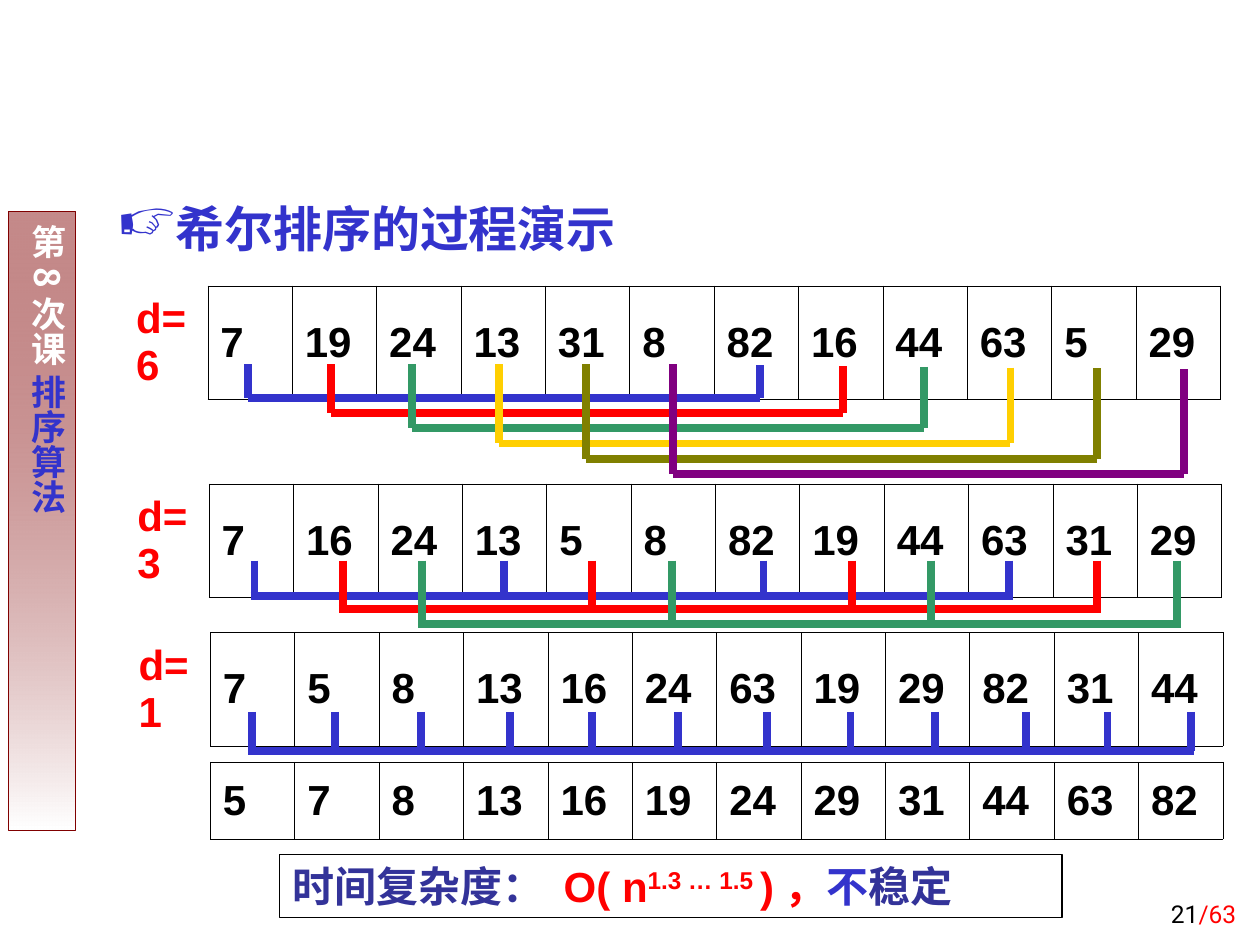
from lxml import etree
from pptx import Presentation
from pptx.dml.color import RGBColor
from pptx.enum.shapes import MSO_CONNECTOR, MSO_SHAPE
from pptx.enum.text import MSO_ANCHOR, PP_ALIGN
from pptx.oxml.ns import qn
from pptx.util import Inches, Pt

STRAIGHT = MSO_CONNECTOR.STRAIGHT
RECT = MSO_SHAPE.RECTANGLE
TOP, MIDDLE, BOTTOM = MSO_ANCHOR.TOP, MSO_ANCHOR.MIDDLE, MSO_ANCHOR.BOTTOM
LEFT, CENTER, RIGHT = PP_ALIGN.LEFT, PP_ALIGN.CENTER, PP_ALIGN.RIGHT

COLORS = {
    "black": "000000", "white": "FFFFFF", "red": "FF0000", "blue": "3333CC",
    "green": "339966", "yellow": "FFCF01", "olive": "808000",
    "purple": "800080", "indigo": "333399", "maroon": "800000",
}
CJK_FONT = "Noto Sans CJK SC"
CELL = 0.61
COL = 0.67


def rgb(name):
    return RGBColor.from_string(COLORS[name])


def add_run(p, text, color="black", size=24, font="Arial", bold=True, raised=False):
    r = p.add_run()
    r.text = text
    r.font.size = Pt(size)
    r.font.bold = bold
    r.font.name = font
    r.font.color.rgb = rgb(color)
    rPr = r._r.get_or_add_rPr()
    etree.SubElement(rPr, qn("a:ea"), typeface=CJK_FONT)
    if raised:
        rPr.set("baseline", "30000")


def set_frame(tf, anchor=TOP, align=LEFT, x_inset=0.1, y_inset=0.05):
    tf.word_wrap = True
    tf.vertical_anchor = anchor
    tf.margin_left = tf.margin_right = Inches(x_inset)
    tf.margin_top = tf.margin_bottom = Inches(y_inset)
    p = tf.paragraphs[0]
    p.alignment = align
    return p


def add_text_box(slide, x, y, w, h, **frame):
    sp = slide.shapes.add_textbox(Inches(x), Inches(y), Inches(w), Inches(h))
    return set_frame(sp.text_frame, **frame)


def add_box(slide, x, y, w, h, line):
    sp = slide.shapes.add_shape(RECT, Inches(x), Inches(y), Inches(w), Inches(h))
    sp.shadow.inherit = False
    sp.fill.background()
    sp.line.color.rgb = rgb(line)
    sp.line.width = Pt(0.75)
    return sp


def add_bullet(p, char, color, percent, indent):
    pPr = p._p.get_or_add_pPr()
    pPr.set("marL", str(Inches(indent)))
    pPr.set("indent", str(-Inches(indent)))
    clr = etree.SubElement(pPr, qn("a:buClr"))
    etree.SubElement(clr, qn("a:srgbClr"), val=COLORS[color])
    etree.SubElement(pPr, qn("a:buSzPct"), val=str(percent * 1000))
    etree.SubElement(pPr, qn("a:buChar"), char=char)


def set_borders(cell, visible):
    tcPr = cell._tc.get_or_add_tcPr()
    for side in "LRTB":
        ln = etree.SubElement(tcPr, qn("a:ln" + side), w=str(Pt(0.45)))
        if side in visible:
            fill = etree.SubElement(ln, qn("a:solidFill"))
            etree.SubElement(fill, qn("a:srgbClr"), val=COLORS["black"])
        else:
            etree.SubElement(ln, qn("a:noFill"))


def add_row_table(slide, x, y, label, values):
    """One row: an open label cell, then the boxed numbers."""
    texts = [label] + values
    frame = slide.shapes.add_table(1, len(texts), Inches(x), Inches(y),
                                   Inches(COL * len(texts)), Inches(CELL))
    table = frame.table
    table.first_row = table.horz_banding = False
    table.rows[0].height = Inches(CELL)
    for i, text in enumerate(texts):
        table.columns[i].width = Inches(COL)
        cell = table.cell(0, i)
        set_borders(cell, "LRTB" if i else "R")
        cell.fill.background()
        cell.vertical_anchor = MIDDLE
        if text:
            add_run(cell.text_frame.paragraphs[0], str(text),
                    color="black" if i else "red")


def add_line(shapes, x1, y1, x2, y2, color):
    line = shapes.add_connector(STRAIGHT, Inches(x1), Inches(y1), Inches(x2), Inches(y2))
    line.line.color.rgb = rgb(color)
    line.line.width = Pt(4.5)
    etree.SubElement(line._element.spPr, qn("a:effectLst"))


def add_bracket(slide, legs, bar_y, color, overhang=0.0):
    """Legs are (x, top) pairs that stand on one bar."""
    shapes = slide.shapes.add_group_shape().shapes
    for x, top in legs:
        add_line(shapes, x, top, x, bar_y, color)
    add_line(shapes, legs[0][0] - overhang, bar_y, legs[-1][0] + overhang, bar_y, color)


def add_sidebar(slide):
    sp = add_box(slide, 0.07, 1.68, 0.53, 4.91, "maroon")
    sp.fill.gradient()
    sp.fill.gradient_angle = 270
    for stop, color in zip(sp.fill.gradient_stops, ("maroon", "white")):
        stop.color.rgb = rgb(color)
    first = sp.fill._xPr.find(".//" + qn("a:srgbClr"))
    etree.SubElement(first, qn("a:alpha"), val="46000")
    p = set_frame(sp.text_frame, align=CENTER, x_inset=0.05, y_inset=0.1)
    sp.text_frame._txBody.bodyPr.set("vert", "eaVert")
    add_run(p, "第8次课 ", color="white", size=20, font=CJK_FONT)
    add_run(p, "排序算法", color="blue", size=20, font=CJK_FONT)


def main():
    prs = Presentation()
    prs.slide_width, prs.slide_height = Inches(10), Inches(7.5)
    slide = prs.slides.add_slide(prs.slide_layouts[6])

    # Sidebar, page number and title
    add_sidebar(slide)
    p = add_text_box(slide, 7.83, 6.92, 2.08, 0.5, anchor=BOTTOM, align=RIGHT)
    add_run(p, "21", size=14, font="Roboto", bold=False)
    add_run(p, "/63", color="red", size=14, font="Roboto", bold=False)
    p = add_text_box(slide, 0.83, 1.46, 8.52, 0.63, anchor=BOTTOM)
    add_bullet(p, "☞", "blue", 120, 0.38)
    add_run(p, "希尔排序的过程演示", color="blue", size=28, font="Roboto")

    # Gap 6: six pairs
    add_row_table(slide, 0.98, 2.27, "d=6", [7, 19, 24, 13, 31, 8, 82, 16, 44, 63, 5, 29])
    pair_starts = [1.97, 2.63, 3.27, 3.96, 4.65, 5.34]
    pair_colors = ["blue", "red", "green", "yellow", "olive", "purple"]
    for i, (x, color) in enumerate(zip(pair_starts, pair_colors)):
        legs = [(x, 2.89), (x + 4.06, 2.9 + 0.03 * i / 5)]
        add_bracket(slide, legs, 3.16 + 0.12 * i, color)

    # Gap 3: three groups of four
    add_row_table(slide, 0.99, 3.84, "d=3", [7, 16, 24, 13, 5, 8, 82, 19, 44, 63, 31, 29])
    for shift, bar_y, color in [(0, 4.73, "blue"), (0.7, 4.83, "red"), (1.33, 4.95, "green")]:
        legs = [(x + shift, 4.45) for x in (2.02, 4, 6.06, 8.01)]
        add_bracket(slide, legs, bar_y, color, overhang=0.03)

    # Gap 1: all twelve together
    add_row_table(slide, 1, 5.02, "d=1", [7, 5, 8, 13, 16, 24, 63, 19, 29, 82, 31, 44])
    leg_xs = [2, 2.66, 3.34, 4.05, 4.7, 5.38, 6.09, 6.75, 7.42, 8.14, 8.79, 9.45]
    add_bracket(slide, [(x, 5.65) for x in leg_xs], 5.96, "blue", overhang=0.03)

    # Sorted result
    add_row_table(slide, 1, 6.05, "", [5, 7, 8, 13, 16, 19, 24, 29, 31, 44, 63, 82])

    # Complexity
    sp = add_box(slide, 2.22, 6.78, 6.21, 0.5, "black")
    p = set_frame(sp.text_frame)
    add_run(p, "时间复杂度： ", color="indigo")
    add_run(p, "O( n", color="red")
    add_run(p, "1.3 … 1.5 ", color="red", raised=True)
    add_run(p, ")，", color="red")
    add_run(p, "不", color="blue")
    add_run(p, "稳定", color="indigo")

    prs.save("out.pptx")


if __name__ == "__main__":
    main()
